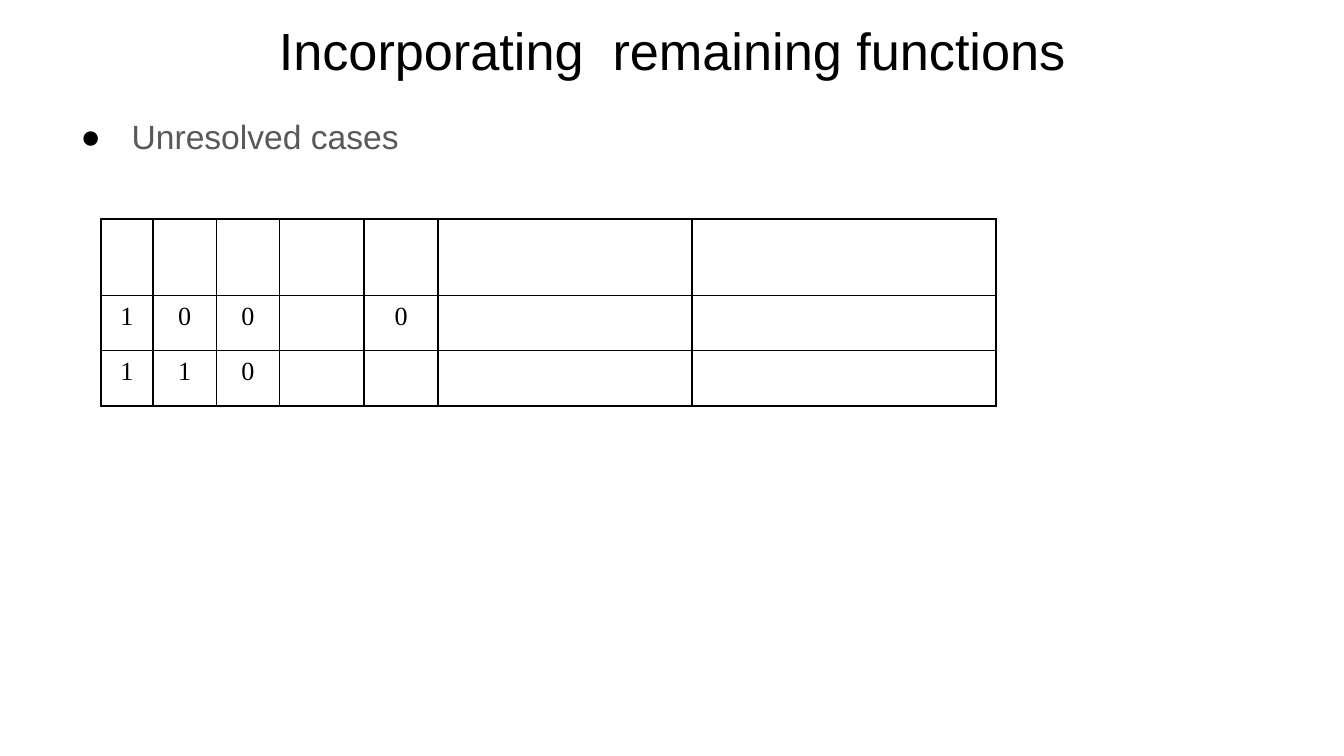
"""Build the slide on unresolved cases with its table of remaining functions."""
from lxml import etree
from pptx import Presentation
from pptx.dml.color import RGBColor
from pptx.enum.text import MSO_ANCHOR as Anchor, MSO_AUTO_SIZE as AutoSize, PP_ALIGN as Align
from pptx.oxml import parse_xml
from pptx.oxml.ns import nsdecls, qn
from pptx.util import Inches, Pt


def color(value):
    return RGBColor.from_string(value)


def add_run(paragraph, text, size, font_name, font_color):
    run = paragraph.add_run()
    run.text = text
    run.font.size = Pt(size)
    run.font.name = font_name
    run.font.color.rgb = color(font_color)


presentation = Presentation()
presentation.slide_width = Inches(10)
presentation.slide_height = Inches(10) * 9 // 16
slide = presentation.slides.add_slide(presentation.slide_layouts[1])
slide.background.fill.solid()
slide.background.fill.fore_color.rgb = color("FFFFFF")

title = slide.shapes.title
body = slide.placeholders[1]
for placeholder, top, height, anchor in (
    (title, 0.06, 0.62, Anchor.MIDDLE),
    (body, 0.77, 4.26, Anchor.TOP),
):
    placeholder.left, placeholder.top = Inches(0.5), Inches(top)
    placeholder.width, placeholder.height = Inches(9), Inches(height)
    placeholder.text_frame.vertical_anchor = anchor
    placeholder.text_frame.auto_size = AutoSize.NONE

paragraph = title.text_frame.paragraphs[0]
paragraph.alignment = Align.CENTER
add_run(paragraph, "Incorporating  remaining functions", 28, "Arial", "000000")

paragraph = body.text_frame.paragraphs[0]
paragraph.line_spacing = 1.15
paragraph.space_before = Pt(0)
add_run(paragraph, "Unresolved cases", 18, "Arial", "595959")
properties = paragraph._p.get_or_add_pPr()
properties.set("marL", str(Inches(0.38)))
properties.set("indent", str(Inches(-0.38)))
bullet_color = etree.SubElement(properties, qn("a:buClr"))
etree.SubElement(bullet_color, qn("a:srgbClr"), val="000000")
etree.SubElement(properties, qn("a:buFont"), typeface="Arial")
etree.SubElement(properties, qn("a:buChar"), char="●")

column_widths = [0.39, 0.47, 0.47, 0.63, 0.55, 1.89, 2.26]
row_heights = [0.57, 0.41, 0.41]
cases = [
    ["", "", "", "", "", "", ""],
    ["1", "0", "0", "", "0", "", ""],
    ["1", "1", "0", "", "", "", ""],
]
table = slide.shapes.add_table(
    len(row_heights), len(column_widths), Inches(0.75), Inches(1.63),
    Inches(sum(column_widths)), Inches(sum(row_heights)),
).table
table.first_row = False
table.horz_banding = False
for column, width in zip(table.columns, column_widths):
    column.width = Inches(width)

for row, height, values in zip(table.rows, row_heights, cases):
    row.height = Inches(height)
    for cell, value in zip(row.cells, values):
        cell.fill.background()
        cell_properties = cell._tc.get_or_add_tcPr()
        for position, side in enumerate(("lnL", "lnR", "lnT", "lnB")):
            cell_properties.insert(position, parse_xml(
                f'<a:{side} {nsdecls("a")} w="{Pt(1)}"><a:solidFill>'
                f'<a:srgbClr val="000000"/></a:solidFill></a:{side}>'
            ))
        paragraph = cell.text_frame.paragraphs[0]
        paragraph.alignment = Align.CENTER
        paragraph.font.size = Pt(14)
        if value:
            add_run(paragraph, value, 14, "Times New Roman", "000000")

presentation.save("out.pptx")
